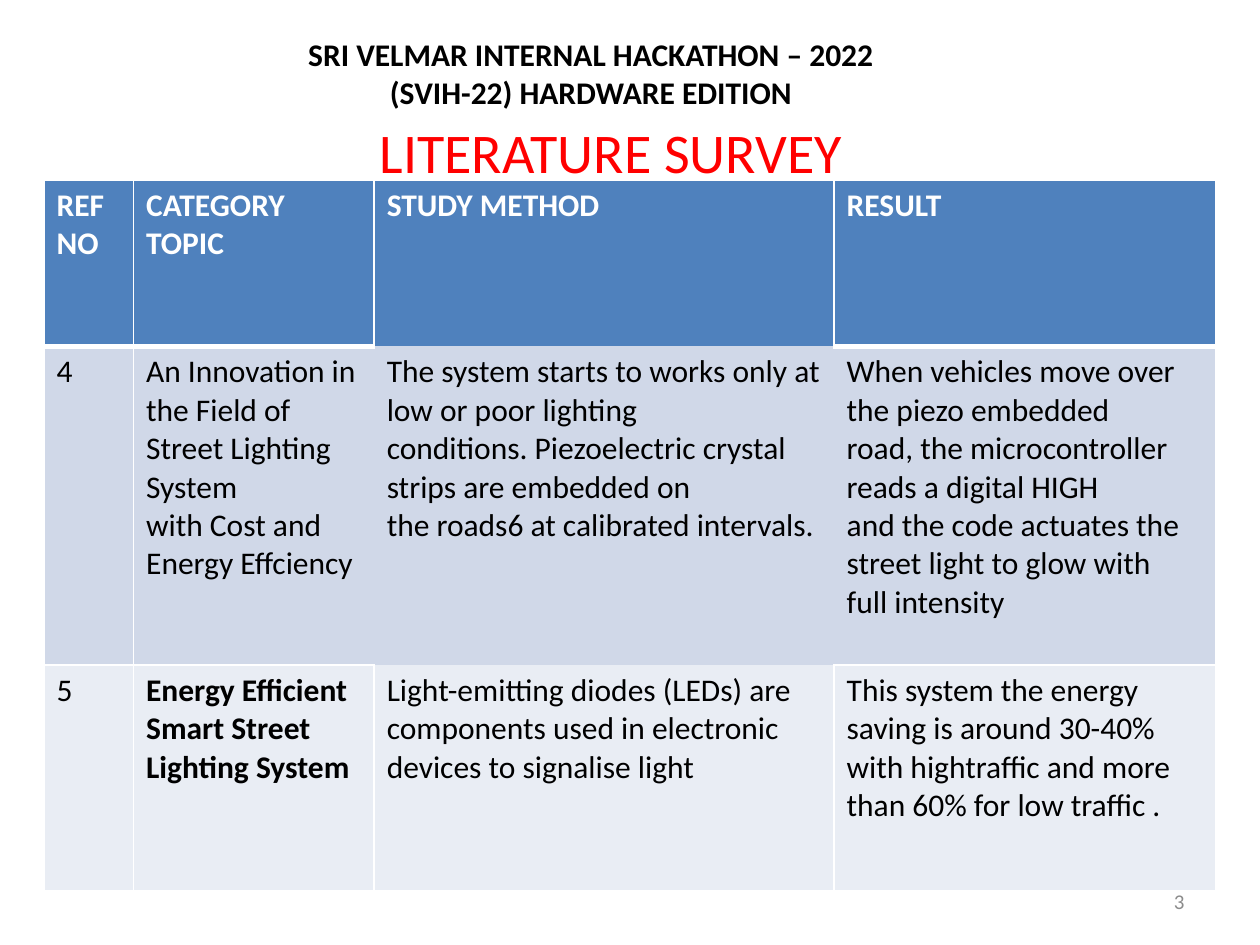
from lxml import etree
from pptx import Presentation
from pptx.dml.color import RGBColor
from pptx.enum.text import MSO_ANCHOR, PP_ALIGN
from pptx.oxml.ns import qn
from pptx.util import Inches, Pt

CENTER, LEFT, RIGHT = PP_ALIGN.CENTER, PP_ALIGN.LEFT, PP_ALIGN.RIGHT
TOP, MIDDLE = MSO_ANCHOR.TOP, MSO_ANCHOR.MIDDLE
TITLE_ONLY = 5
FONT = "Calibri"
COLORS = {
    "text": "000000", "title": "FF0000", "number": "8C8C8C", "white": "FFFFFF",
    "header": "4F81BD", "odd": "D0D8E8", "even": "E9EDF4",
}
COLUMN_WIDTHS = [0.71, 1.91, 3.65, 3.03]
ROW_HEIGHTS = [1.32, 2.53, 1.79]
ROW_FILLS = ["header", "odd", "even"]
OPEN_CELL = (1, 2)
SURVEY = [
    ["REF NO", "CATEGORY TOPIC", "STUDY METHOD", "RESULT"],
    [
        "4",
        "An Innovation in the Field of Street Lighting System\n"
        "with Cost and Energy Effciency",
        "The system starts to works only at low or poor lighting\n"
        "conditions. Piezoelectric crystal strips are embedded on\n"
        "the roads6 at calibrated intervals.",
        "When vehicles move over the piezo embedded\n"
        "road, the microcontroller reads a digital HIGH\n"
        "and the code actuates the street light to glow with\n"
        "full intensity",
    ],
    [
        "5",
        "Energy Efficient Smart Street Lighting System",
        "Light-emitting diodes (LEDs) are components used in electronic "
        "devices to signalise light",
        "This system the energy saving is around 30-40% with hightraffic "
        "and more than 60% for low traffic .",
    ],
]


def set_text(tf, text, size, color, bold=False, align=LEFT, anchor=TOP):
    tf.text = text
    tf.word_wrap = True
    tf.vertical_anchor = anchor
    for p in tf.paragraphs:
        p.alignment = align
        for r in p.runs:
            r.font.name = FONT
            r.font.size = Pt(size)
            r.font.bold = bold
            r.font.color.rgb = RGBColor.from_string(COLORS[color])


def add_text(s, box, text, size, color, **style):
    sp = s.shapes.add_textbox(*map(Inches, box))
    set_text(sp.text_frame, text, size, color, **style)


def add_title(s, box, text):
    sp = s.shapes.title
    sp.left, sp.top, sp.width, sp.height = map(Inches, box)
    set_text(sp.text_frame, text, 32, "title", align=CENTER, anchor=MIDDLE)


def border_width(row, col, side):
    d_row, d_col = {"L": (0, -1), "R": (0, 1), "T": (-1, 0), "B": (1, 0)}[side]
    neighbour = (row + d_row, col + d_col)
    if OPEN_CELL in ((row, col), neighbour):
        return 0
    return 3 if {row, neighbour[0]} == {0, 1} else 1


def set_borders(cell, row, col):
    tc_pr = cell._tc.get_or_add_tcPr()
    for i, side in enumerate("LRTB"):
        width = border_width(row, col, side)
        ln = etree.Element(qn(f"a:ln{side}"), w=str(Pt(width)))
        if width:
            fill = etree.SubElement(ln, qn("a:solidFill"))
            etree.SubElement(fill, qn("a:srgbClr"), val=COLORS["white"])
        else:
            etree.SubElement(ln, qn("a:noFill"))
        tc_pr.insert(i, ln)


def add_survey_table(s, box):
    table = s.shapes.add_table(len(SURVEY), len(SURVEY[0]), *map(Inches, box)).table
    for column, width in zip(table.columns, COLUMN_WIDTHS):
        column.width = Inches(width)
    for row, height in zip(table.rows, ROW_HEIGHTS):
        row.height = Inches(height)
    for i, texts in enumerate(SURVEY):
        for j, text in enumerate(texts):
            cell = table.cell(i, j)
            cell.fill.solid()
            cell.fill.fore_color.rgb = RGBColor.from_string(COLORS[ROW_FILLS[i]])
            set_text(cell.text_frame, text, 18, "text" if i else "white",
                     bold=i == 0 or (i, j) == (2, 1))
            set_borders(cell, i, j)


def main():
    prs = Presentation()
    prs.slide_width, prs.slide_height = Inches(10), Inches(7.5)
    s = prs.slides.add_slide(prs.slide_layouts[TITLE_ONLY])
    add_text(s, (2.19, 0.23, 5, 0.71),
             "SRI VELMAR INTERNAL HACKATHON – 2022 (SVIH-22) HARDWARE EDITION",
             18, "text", bold=True, align=CENTER)
    add_title(s, (0.35, 0.92, 9, 0.56), "LITERATURE SURVEY")
    add_text(s, (7.17, 6.95, 2.33, 0.4), "3", 12, "number",
             align=RIGHT, anchor=MIDDLE)
    add_survey_table(s, (0.35, 1.43, 9.3, 5.64))
    prs.save("out.pptx")


if __name__ == "__main__":
    main()
